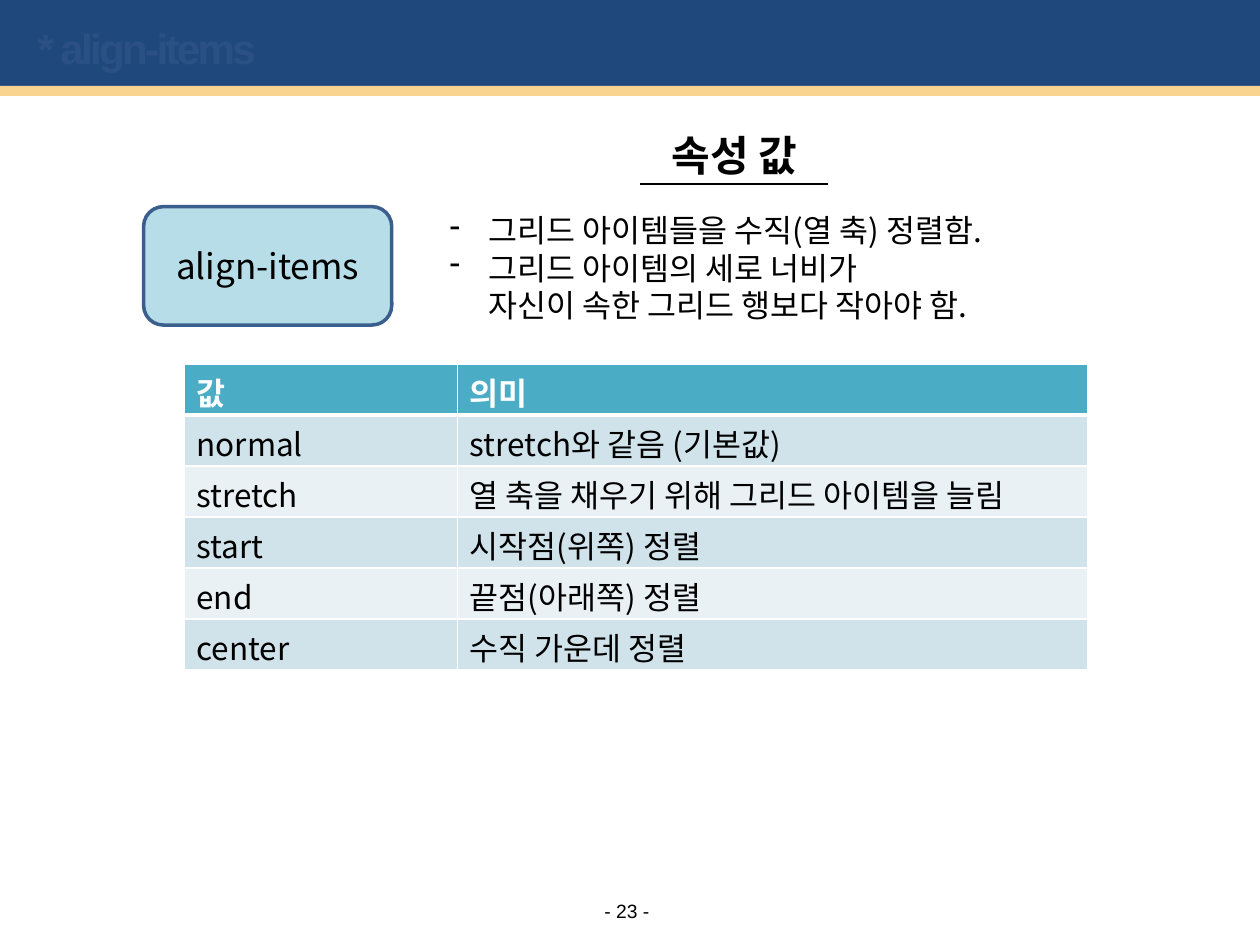
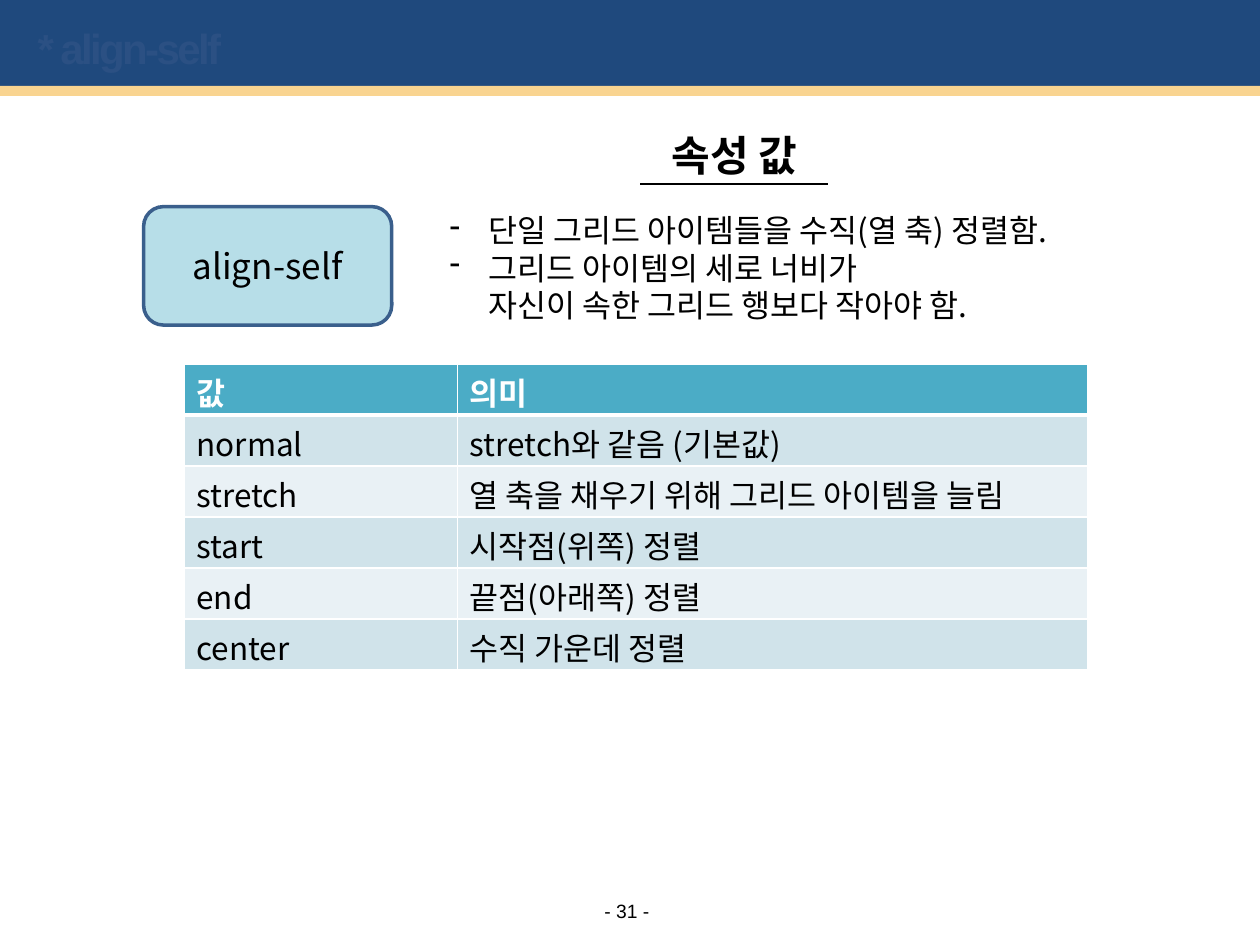
from dataclasses import dataclass

from lxml import etree
from pptx import Presentation
from pptx.dml.color import RGBColor
from pptx.enum.shapes import MSO_CONNECTOR, MSO_SHAPE
from pptx.enum.text import MSO_ANCHOR, PP_ALIGN
from pptx.oxml.ns import qn
from pptx.util import Pt

RECT, ROUNDED = MSO_SHAPE.RECTANGLE, MSO_SHAPE.ROUNDED_RECTANGLE
STRAIGHT = MSO_CONNECTOR.STRAIGHT
CENTER, LEFT = PP_ALIGN.CENTER, PP_ALIGN.LEFT
TOP, MIDDLE = MSO_ANCHOR.TOP, MSO_ANCHOR.MIDDLE

# Content
HEADING = "속성 값"
SIZE_RULE = "그리드 아이템의 세로 너비가\v자신이 속한 그리드 행보다 작아야 함."
PROPERTIES = [
    {"name": "align-items", "page": 23,
     "notes": ["그리드 아이템들을 수직(열 축) 정렬함.", SIZE_RULE], "notes_width": 370.8},
    {"name": "align-self", "page": 31,
     "notes": ["단일 그리드 아이템들을 수직(열 축) 정렬함.", SIZE_RULE], "notes_width": 387.4},
]
VALUES = [
    ("값", "의미"),
    ("normal", "stretch와 같음 (기본값)"),
    ("stretch", "열 축을 채우기 위해 그리드 아이템을 늘림"),
    ("start", "시작점(위쪽) 정렬"),
    ("end", "끝점(아래쪽) 정렬"),
    ("center", "수직 가운데 정렬"),
]


@dataclass(frozen=True)
class Theme:
    font: str = "Noto Sans CJK KR"
    frame_font: str = "Arial"
    band: str = "1F497D"
    stripe: str = "F9D490"
    title: str = "2B5083"
    ink: str = "000000"
    paper: str = "FFFFFF"
    badge: str = "B7DEE8"
    badge_edge: str = "3A5F8C"
    header: str = "4BACC6"
    row_fills: tuple = ("E9F1F5", "D0E3EA")
    heading_size: float = 24
    badge_size: float = 20
    body_size: float = 18
    page_size: float = 11
    leading: float = 1.19


THEME = Theme()

# Layout
SLIDE_WIDTH, SLIDE_HEIGHT = 720, 540
COLUMN_WIDTHS = (156.2, 360)
ROW_HEIGHT = 29.16
NOTE_INDENT = 22.5


def rgb(color):
    return RGBColor.from_string(color)


def style(paragraph, size, color=THEME.ink, font=THEME.font, bold=False,
          align=LEFT, leading=None):
    paragraph.alignment = align
    if leading:
        paragraph.line_spacing = Pt(round(size * leading, 1))
    for run in paragraph.runs:
        run.font.size, run.font.bold, run.font.name = Pt(size), bold, font
        run.font.color.rgb = rgb(color)
        east_asian = etree.SubElement(run.font._element, qn("a:ea"))
        east_asian.set("typeface", font)


def add_box(slide, shape_type, bounds, fill, edge=None):
    box = slide.shapes.add_shape(shape_type, *map(Pt, bounds))
    box.shadow.inherit = False
    box.fill.solid()
    box.fill.fore_color.rgb = rgb(fill)
    if edge:
        box.line.color.rgb = rgb(edge)
        box.line.width = Pt(2)
    else:
        box.line.fill.background()
    return box


def add_text(slide, bounds, lines, anchor=TOP, top_inset=3.6, wrap=True, **look):
    frame = slide.shapes.add_textbox(*map(Pt, bounds)).text_frame
    frame.word_wrap = wrap
    frame.vertical_anchor = anchor
    frame.margin_top = Pt(top_inset)
    for index, line in enumerate(lines):
        paragraph = frame.add_paragraph() if index else frame.paragraphs[0]
        paragraph.text = line
        style(paragraph, **look)
    return frame


def add_frame(slide, name, page):
    """Title band, stripe and page number."""
    add_box(slide, RECT, (0, -2.2, SLIDE_WIDTH, 54.7), THEME.band)
    add_box(slide, RECT, (0, 49, SLIDE_WIDTH, 5.8), THEME.stripe)
    title = add_text(slide, (14.4, 10, 690, 35), [f"* {name}"], MIDDLE,
                     size=THEME.heading_size, color=THEME.title,
                     font=THEME.frame_font, bold=True)
    title.paragraphs[0].runs[0].font._element.set("spc", "-150")
    number = add_text(slide, (342.7, 513.4, 31, 13.7), [f"- {page} -"], MIDDLE, 0,
                      wrap=False, size=THEME.page_size, font=THEME.frame_font,
                      align=CENTER)
    number.margin_left = number.margin_right = number.margin_bottom = 0


def add_heading(slide):
    add_text(slide, (280.8, 69.1, 277.9, 36), [HEADING], top_inset=5,
             size=THEME.heading_size, bold=True, align=CENTER, leading=THEME.leading)
    underline = slide.shapes.add_connector(STRAIGHT, Pt(365.8), Pt(105.2), Pt(473), Pt(105.2))
    underline.line.color.rgb = rgb(THEME.ink)
    underline.line.width = Pt(1.5)
    etree.SubElement(underline._element.spPr, qn("a:effectLst"))


def add_badge(slide, name):
    badge = add_box(slide, ROUNDED, (82.1, 118.1, 141.8, 67.7), THEME.badge, THEME.badge_edge)
    badge.text_frame.text = name
    badge.text_frame.vertical_anchor = MIDDLE
    style(badge.text_frame.paragraphs[0], THEME.badge_size, align=CENTER)


def add_notes(slide, notes, width):
    frame = add_text(slide, (249.8, 115.9, width, 72.7), notes, top_inset=5,
                     size=THEME.body_size, leading=THEME.leading)
    for paragraph in frame.paragraphs:
        properties = paragraph._p.get_or_add_pPr()
        properties.set("marL", str(Pt(NOTE_INDENT)))
        properties.set("indent", str(-Pt(NOTE_INDENT)))
        etree.SubElement(properties, qn("a:buChar")).set("char", "-")


def add_border(cell, side, width):
    line = etree.SubElement(cell._tc.get_or_add_tcPr(), qn(f"a:ln{side}"), w=str(Pt(width)))
    fill = etree.SubElement(line, qn("a:solidFill"))
    etree.SubElement(fill, qn("a:srgbClr"), val=THEME.paper)


def add_values(slide):
    bounds = (105.1, 208.1, sum(COLUMN_WIDTHS), ROW_HEIGHT * len(VALUES))
    table = slide.shapes.add_table(len(VALUES), len(COLUMN_WIDTHS), *map(Pt, bounds)).table
    for column, width in zip(table.columns, COLUMN_WIDTHS):
        column.width = Pt(width)
    for row, texts in enumerate(VALUES):
        table.rows[row].height = Pt(ROW_HEIGHT)
        is_header = row == 0
        # The rule under the header is thicker than the others
        borders = {"L": 1, "R": 1, "T": 3 if row == 1 else 1, "B": 3 if is_header else 1}
        for column, text in enumerate(texts):
            cell = table.cell(row, column)
            cell.margin_top, cell.margin_bottom = Pt(7.2), 0
            for side, width in borders.items():
                add_border(cell, side, width)
            cell.fill.solid()
            cell.fill.fore_color.rgb = rgb(THEME.header if is_header else THEME.row_fills[row % 2])
            cell.text_frame.text = text
            style(cell.text_frame.paragraphs[0], THEME.body_size,
                  THEME.paper if is_header else THEME.ink,
                  bold=is_header, leading=THEME.leading)


def main():
    deck = Presentation()
    deck.slide_width, deck.slide_height = Pt(SLIDE_WIDTH), Pt(SLIDE_HEIGHT)
    for item in PROPERTIES:
        slide = deck.slides.add_slide(deck.slide_layouts[6])
        add_frame(slide, item["name"], item["page"])
        add_badge(slide, item["name"])
        add_heading(slide)
        add_notes(slide, item["notes"], item["notes_width"])
        add_values(slide)
    deck.save("out.pptx")


if __name__ == "__main__":
    main()
